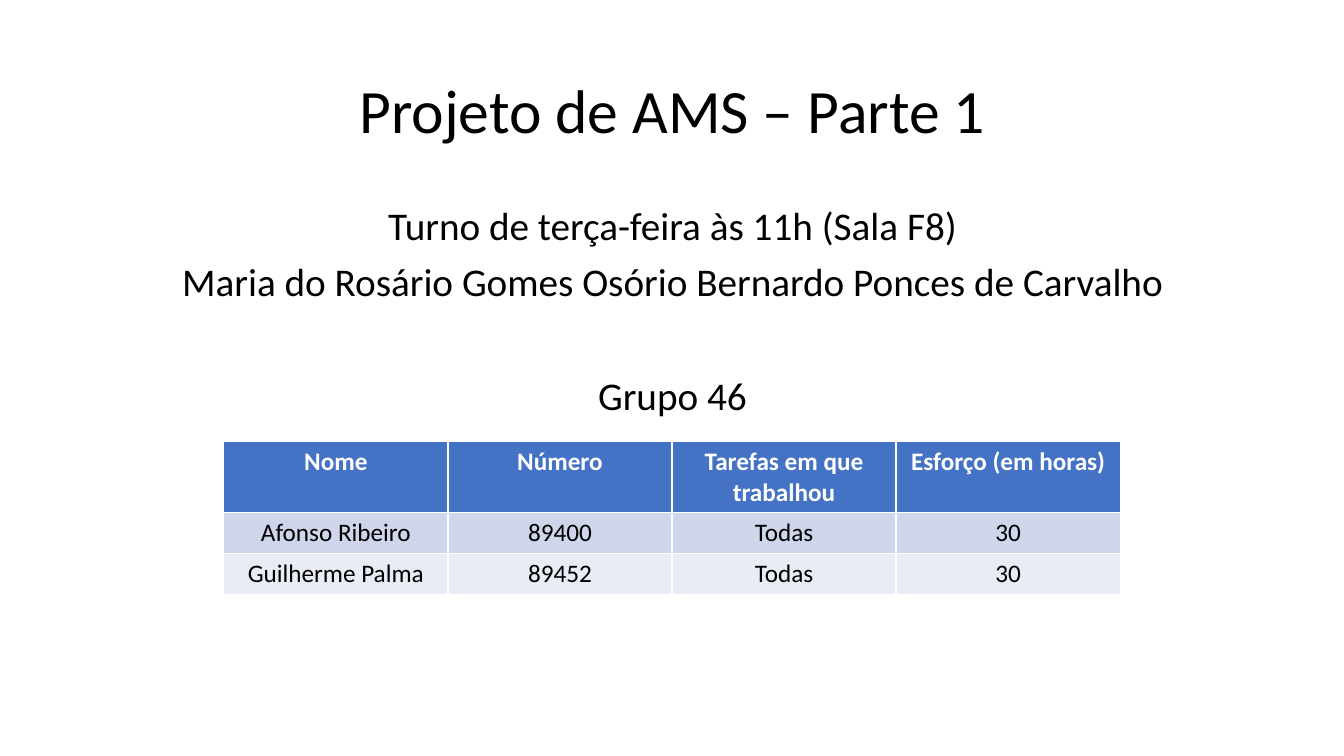
"""Build the title slide of a group project with its table of members."""
from pptx import Presentation
from pptx.dml.color import RGBColor
from pptx.enum.text import MSO_ANCHOR, PP_ALIGN
from pptx.util import Inches, Pt

TITLE = "Projeto de AMS – Parte 1"
DETAILS = [
    ("Turno de terça-feira às 11h (Sala F8)", 10),
    ("Maria do Rosário Gomes Osório Bernardo Ponces de Carvalho", 10),
    ("Grupo 46", 50.75),
]
MEMBERS = [
    ("Nome", "Número", "Tarefas em que trabalhou", "Esforço (em horas)"),
    ("Afonso Ribeiro", "89400", "Todas", "30"),
    ("Guilherme Palma", "89452", "Todas", "30"),
]
ROW_HEIGHTS = (0.7, 0.41, 0.41)

FONT = "Calibri"
BLACK = RGBColor(0x00, 0x00, 0x00)
WHITE = RGBColor(0xFF, 0xFF, 0xFF)
HEADER_BLUE = RGBColor(0x44, 0x72, 0xC4)
ROW_FILLS = (HEADER_BLUE, RGBColor(0xCF, 0xD5, 0xEA), RGBColor(0xE9, 0xEB, 0xF5))


def format_paragraph(paragraph, text, size, color=BLACK, bold=False):
    paragraph.text = text
    paragraph.alignment = PP_ALIGN.CENTER
    font = paragraph.font
    font.name, font.size, font.bold = FONT, Pt(size), bold
    font.color.rgb = color


def add_text(slide, top, height, lines, size, anchor):
    box = slide.shapes.add_textbox(Inches(0.92), Inches(top), Inches(11.5), Inches(height))
    frame = box.text_frame
    frame.word_wrap = True
    frame.vertical_anchor = anchor
    for index, (text, space_before) in enumerate(lines):
        paragraph = frame.add_paragraph() if index else frame.paragraphs[0]
        format_paragraph(paragraph, text, size)
        paragraph.line_spacing = 0.9
        paragraph.space_before = Pt(space_before)


def add_members_table(slide):
    table = slide.shapes.add_table(
        len(MEMBERS), len(MEMBERS[0]),
        Inches(2.22), Inches(4.38), Inches(8.89), Inches(sum(ROW_HEIGHTS)),
    ).table
    for row_index, values in enumerate(MEMBERS):
        table.rows[row_index].height = Inches(ROW_HEIGHTS[row_index])
        is_header = row_index == 0
        for column_index, value in enumerate(values):
            cell = table.cell(row_index, column_index)
            cell.fill.solid()
            cell.fill.fore_color.rgb = ROW_FILLS[row_index]
            color = WHITE if is_header else BLACK
            format_paragraph(cell.text_frame.paragraphs[0], value, 18, color, is_header)


presentation = Presentation()
presentation.slide_width = Inches(13.33)
presentation.slide_height = Inches(7.5)
slide = presentation.slides.add_slide(presentation.slide_layouts[6])
add_text(slide, 0.4, 1.45, [(TITLE, 0)], 44, MSO_ANCHOR.MIDDLE)
add_text(slide, 2, 4.76, DETAILS, 28, MSO_ANCHOR.TOP)
add_members_table(slide)
presentation.save("out.pptx")
